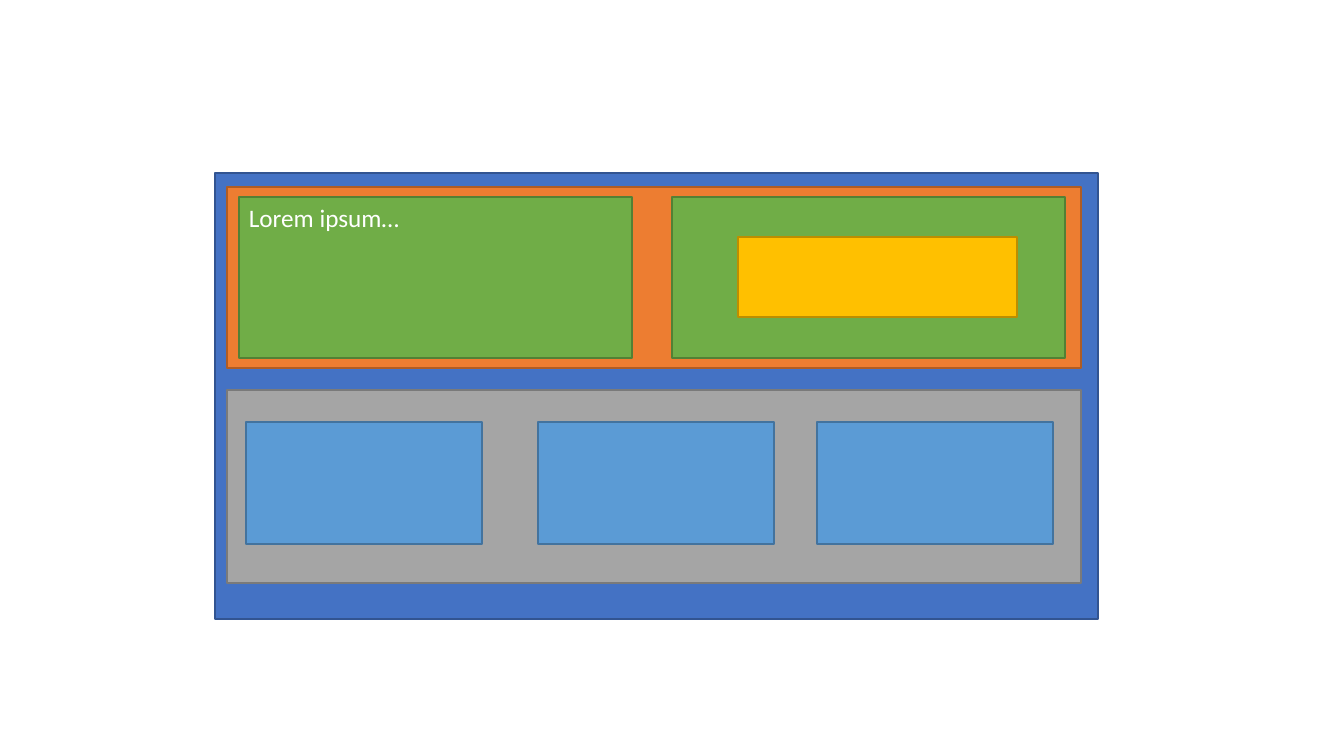
from dataclasses import dataclass

from pptx import Presentation
from pptx.dml.color import RGBColor
from pptx.enum.shapes import MSO_SHAPE
from pptx.enum.text import MSO_ANCHOR, PP_ALIGN
from pptx.util import Pt

PX = 914400 / 100.8


@dataclass(frozen=True)
class Theme:
    """Fill and line colour pairs, and type settings."""
    frame: tuple = ("4472C4", "325491")
    top_band: tuple = ("ED7D31", "AF5C24")
    panel: tuple = ("70AD47", "538035")
    highlight: tuple = ("FFC000", "BD8E00")
    bottom_band: tuple = ("A5A5A5", "7A7A7A")
    card: tuple = ("5B9BD5", "43739E")
    text: str = "FFFFFF"
    font: str = "Calibri"
    body: int = 18


theme = Theme()


def add_box(left, top, width, height, colours):
    box = slide.shapes.add_shape(
        MSO_SHAPE.RECTANGLE, *(round(n * PX) for n in (left, top, width, height)))
    fill, line = colours
    box.fill.solid()
    box.fill.fore_color.rgb = RGBColor.from_string(fill)
    box.line.color.rgb = RGBColor.from_string(line)
    box.line.width = Pt(1)
    box.shadow.inherit = False
    return box


def write(box, text, *, size=theme.body, colour=theme.text,
          align=PP_ALIGN.LEFT, anchor=MSO_ANCHOR.TOP):
    frame = box.text_frame
    frame.word_wrap = True
    frame.vertical_anchor = anchor
    paragraph = frame.paragraphs[0]
    paragraph.alignment = align
    run = paragraph.add_run()
    run.text = text
    run.font.name = theme.font
    run.font.size = Pt(size)
    run.font.color.rgb = RGBColor.from_string(colour)


deck = Presentation()
deck.slide_width = round(1344 * PX)
deck.slide_height = round(756 * PX)
slide = deck.slides.add_slide(deck.slide_layouts[6])

add_box(215, 173, 883, 446, theme.frame)

# Top band: two panels, the right one holding a highlight
add_box(227, 187, 854, 181, theme.top_band)
text_panel, highlight_panel = [
    add_box(left, 197, 393, 161, theme.panel) for left in (239, 672)]
write(text_panel, "Lorem ipsum…")
add_box(738, 237, 279, 80, theme.highlight)

# Bottom band: three cards
add_box(227, 390, 854, 193, theme.bottom_band)
for card_left in (246, 538, 817):
    add_box(card_left, 422, 236, 122, theme.card)

deck.save("out.pptx")
